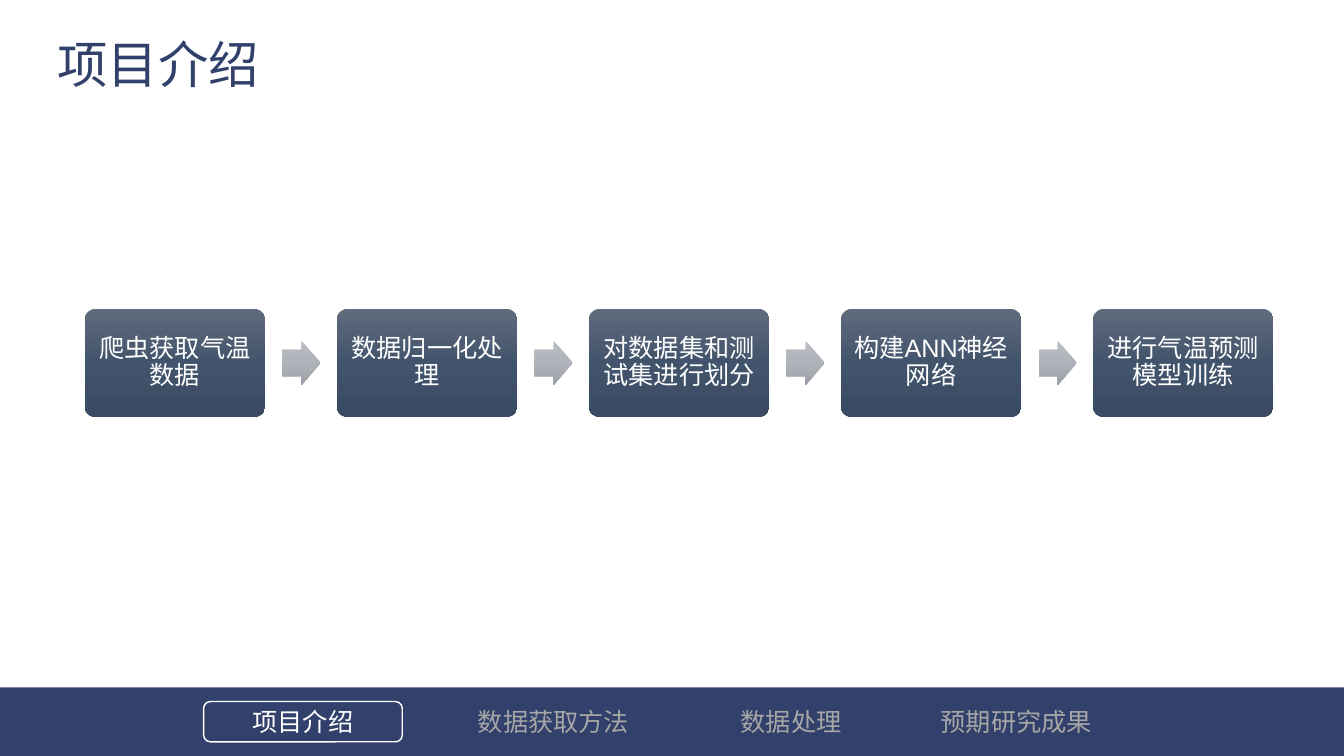
from copy import deepcopy
from dataclasses import dataclass

from lxml.etree import SubElement
from pptx import Presentation
from pptx.dml.color import RGBColor as RGB
from pptx.enum.shapes import MSO_SHAPE as Shape
from pptx.enum.text import MSO_ANCHOR as Anchor, PP_ALIGN as Align
from pptx.oxml.ns import qn
from pptx.util import Inches, Pt


@dataclass(frozen=True)
class Theme:
    navy: str = "32416B"
    white: str = "FFFFFF"
    gray: str = "A6A6A6"
    steel: tuple = ("606B7D", "42546C", "394A62")
    silver: tuple = ("BABDC2", "B0B3BA", "9C9FA6")
    cjk: str = "Noto Sans CJK SC"
    latin: str = "Arial"
    title: int = 36
    body: int = 18


THEME = Theme()
STEPS = ["爬虫获取气温数据", "数据归一化处理", "对数据集和测试集进行划分",
         "构建ANN神经网络", "进行气温预测模型训练"]
TABS = [("项目介绍", 2.4, 1.21), ("数据获取方法", 4.63, 1.72),
        ("数据处理", 7.24, 1.21), ("预期研究成果", 9.22, 1.72)]
ACTIVE = "项目介绍"
TAB_TOP, TAB_HIGH = 6.96, 0.4
STEP_LEFT, STEP_MID, STEP_GAP = 0.84, 3.6, 2.5
STEP_WIDE, STEP_HIGH = 1.79, 1.07
ARROW_WIDE, ARROW_HIGH = 0.38, 0.44


def style(para, size, color, face):
    font = para.font
    font.size = Pt(size)
    font.color.rgb = RGB.from_string(color)
    font.name = face
    props = para._p.pPr.find(qn("a:defRPr"))
    SubElement(props, qn("a:ea")).set("typeface", THEME.cjk)


def add_label(slide, text, box, size, color, align=Align.LEFT):
    label = slide.shapes.add_textbox(*map(Inches, box))
    label.text_frame.word_wrap = False
    para = label.text_frame.paragraphs[0]
    para.text = text
    para.alignment = align
    style(para, size, color, THEME.cjk)


def add_block(slide, kind, box, adjust=()):
    """Add a preset shape with no fill, line or shadow."""
    block = slide.shapes.add_shape(kind, *map(Inches, box))
    block.shadow.inherit = False
    block.fill.background()
    block.line.fill.background()
    for index, value in enumerate(adjust):
        block.adjustments[index] = value
    return block


def shade(block, colors):
    """Fill a block from top to bottom with three even stops."""
    fill = block.fill
    fill.gradient()
    fill.gradient_angle = 270
    stops = block._element.spPr.find(qn("a:gradFill")).find(qn("a:gsLst"))
    stops.append(deepcopy(stops[-1]))
    for index, (stop, color) in enumerate(zip(fill.gradient_stops, colors)):
        stop.position = index / 2
        stop.color.rgb = RGB.from_string(color)


def add_step(slide, text, left):
    box = (left, STEP_MID - STEP_HIGH / 2, STEP_WIDE, STEP_HIGH)
    step = add_block(slide, Shape.ROUNDED_RECTANGLE, box, [0.1])
    shade(step, THEME.steel)
    frame = step.text_frame
    frame.word_wrap = True
    frame.vertical_anchor = Anchor.MIDDLE
    frame.margin_left = frame.margin_right = Inches(0.07)
    frame.margin_top = frame.margin_bottom = Inches(0.07)
    para = frame.paragraphs[0]
    para.text = text
    para.alignment = Align.CENTER
    para.line_spacing = 0.9
    style(para, THEME.body, THEME.white, THEME.latin)


def add_arrow(slide, left):
    box = (left, STEP_MID - ARROW_HIGH / 2, ARROW_WIDE, ARROW_HIGH)
    arrow = add_block(slide, Shape.RIGHT_ARROW, box, [0.6, 0.5])
    shade(arrow, THEME.silver)


def add_flow(slide):
    for index, text in enumerate(STEPS):
        left = STEP_LEFT + index * STEP_GAP
        if index:
            add_arrow(slide, left - 0.54)
        add_step(slide, text, left)


def add_tabs(slide):
    bar = add_block(slide, Shape.RECTANGLE, (0, 6.82, 13.33, 0.68))
    bar.fill.solid()
    bar.fill.fore_color.rgb = RGB.from_string(THEME.navy)
    for text, left, wide in TABS:
        color = THEME.white if text == ACTIVE else THEME.gray
        add_label(slide, text, (left, TAB_TOP, wide, TAB_HIGH),
                  THEME.body, color, Align.CENTER)
    frame = add_block(slide, Shape.ROUNDED_RECTANGLE,
                      (2.02, TAB_TOP, 1.97, TAB_HIGH))
    frame.line.color.rgb = RGB.from_string(THEME.white)
    frame.line.width = Pt(1)


def main():
    deck = Presentation()
    deck.slide_width, deck.slide_height = Inches(13.33), Inches(7.5)
    slide = deck.slides.add_slide(deck.slide_layouts[6])
    add_label(slide, "项目介绍", (0.47, 0.28, 2.22, 0.71),
              THEME.title, THEME.navy)
    add_tabs(slide)
    add_flow(slide)
    deck.save("out.pptx")


if __name__ == "__main__":
    main()
